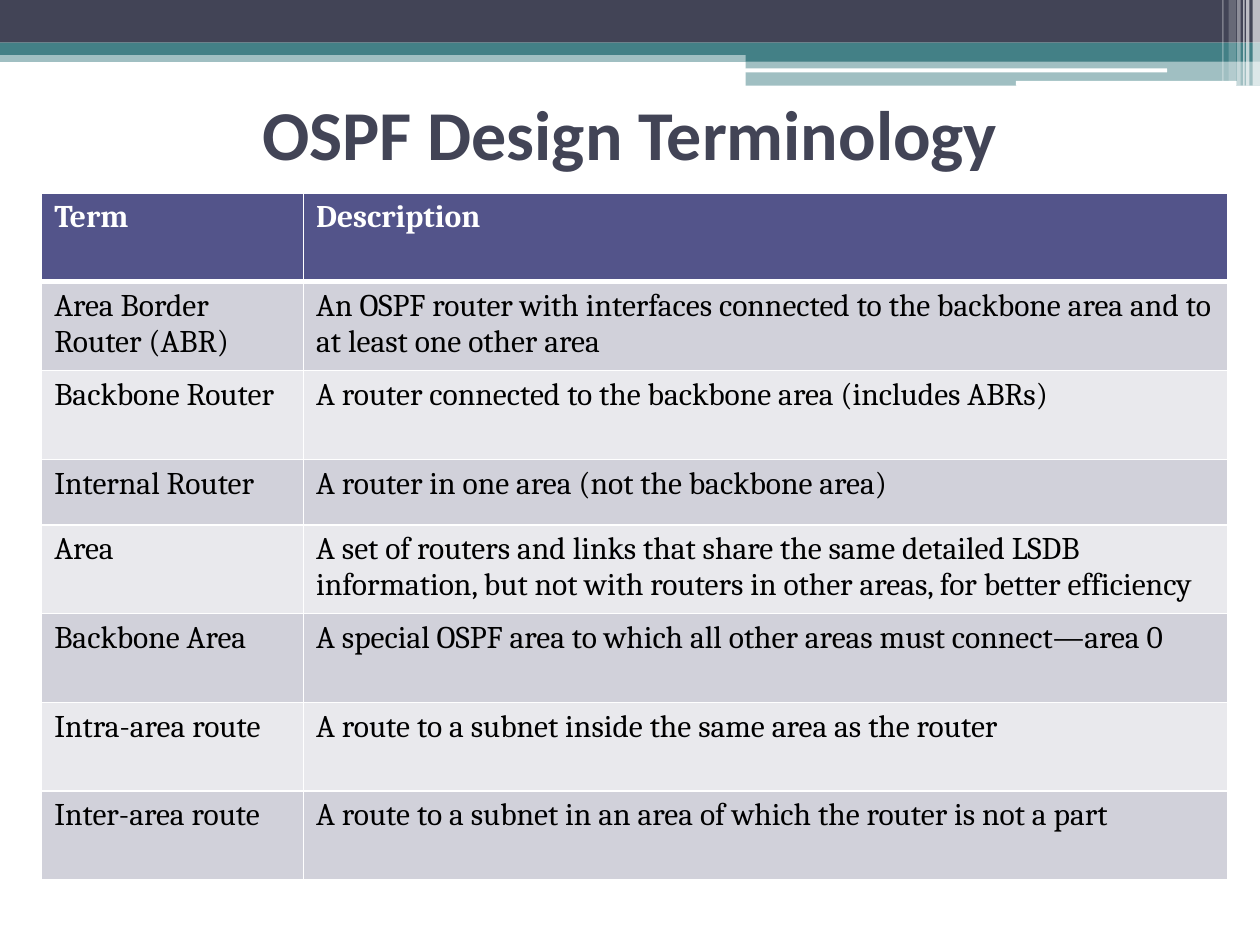
from lxml import etree
from pptx import Presentation
from pptx.dml.color import RGBColor
from pptx.enum.shapes import MSO_SHAPE
from pptx.enum.text import MSO_ANCHOR, PP_ALIGN
from pptx.oxml.ns import qn
from pptx.util import Cm, Pt

RECTANGLE = MSO_SHAPE.RECTANGLE
ROUNDED = MSO_SHAPE.ROUNDED_RECTANGLE
MIDDLE = MSO_ANCHOR.MIDDLE
CENTER = PP_ALIGN.CENTER

WHITE, BLACK, NAVY, TEAL = "FFFFFF", "000000", "424456", "438086"
HEADER_FILL = "53548A"
BAND_FILLS = ("D1D1DA", "E9E9ED")

TITLE = "OSPF Design Terminology"
TERMS = [
    ("Term", "Description"),
    ("Area Border Router (ABR)",
     "An OSPF router with interfaces connected to the backbone area and to at least one other area"),
    ("Backbone Router", "A router connected to the backbone area (includes ABRs)"),
    ("Internal Router", "A router in one area (not the backbone area)"),
    ("Area",
     "A set of routers and links that share the same detailed LSDB\n"
     "information, but not with routers in other areas, for better efficiency"),
    ("Backbone Area", "A special OSPF area to which all other areas must connect—area 0"),
    ("Intra-area route", "A route to a subnet inside the same area as the router"),
    ("Inter-area route", "A route to a subnet in an area of which the router is not a part"),
]
COLUMN_WIDTHS = (5.28, 18.62)
ROW_HEIGHTS = [1.79, 1.79, 1.79, 1.32, 1.79, 1.79, 1.79, 1.79]

BANDS = [
    (RECTANGLE, 0, 1.02, 25.4, 0.23, TEAL, 50),
    (RECTANGLE, 0, 0, 25.4, 0.86, NAVY, 100),
    (RECTANGLE, 0, 0.86, 25.4, 0.25, TEAL, 100),
    (RECTANGLE, 15.03, 0.99, 10.37, 0.25, TEAL, 100),
    (RECTANGLE, 15.03, 1.23, 10.37, 0.5, TEAL, 50),
    (ROUNDED, 15.02, 1.38, 8.51, 0.08, WHITE, 100),
    (ROUNDED, 20.48, 1.63, 4.45, 0.1, WHITE, 100),
]
STRIPES = [
    (25.25, 0.15, 1.73, 65),
    (25.12, 0.07, 1.73, 65),
    (25.06, 0.03, 1.73, 60),
    (24.94, 0.07, 1.73, 40),
    (24.77, 0.15, 1.63, 20),
    (24.64, 0.03, 1.63, 30),
]


def color(value):
    """Turn a hex string into a colour."""
    return RGBColor.from_string(value)


def format_text(text_frame, font_name, size, font_color, bold):
    """Format every run of a text frame."""
    for paragraph in text_frame.paragraphs:
        for run in paragraph.runs:
            run.font.name = font_name
            run.font.size = Pt(size)
            run.font.bold = bold
            run.font.color.rgb = color(font_color)


def add_band(slide, kind, left, top, width, height, fill, opacity):
    """Add one borderless band, see-through when opacity is below 100."""
    shape = slide.shapes.add_shape(kind, Cm(left), Cm(top), Cm(width), Cm(height))
    shape.shadow.inherit = False
    shape.line.fill.background()
    shape.fill.solid()
    shape.fill.fore_color.rgb = color(fill)
    if opacity < 100:
        hex_color = shape.fill._xPr.find(qn("a:solidFill"))[0]
        etree.SubElement(hex_color, qn("a:alpha"), val=str(opacity * 1000))


def set_borders(cell, widths):
    """Draw white left, right, top and bottom borders of the given widths."""
    properties = cell._tc.get_or_add_tcPr()
    for index, (side, width) in enumerate(zip("LRTB", widths)):
        line = etree.Element(qn(f"a:ln{side}"), w=str(Pt(width)))
        fill = etree.SubElement(line, qn("a:solidFill"))
        etree.SubElement(fill, qn("a:srgbClr"), val=WHITE)
        properties.insert(index, line)


def add_title(slide):
    """Add the centred slide title."""
    title = slide.shapes.add_textbox(Cm(1.27), Cm(1.68), Cm(22.86), Cm(1.98))
    text_frame = title.text_frame
    text_frame.word_wrap = True
    text_frame.vertical_anchor = MIDDLE
    text_frame.text = TITLE
    text_frame.paragraphs[0].alignment = CENTER
    format_text(text_frame, "Calibri", 40, NAVY, True)


def add_terms_table(slide):
    """Add the table of terms with a dark header and banded rows."""
    table = slide.shapes.add_table(
        len(TERMS), len(COLUMN_WIDTHS), Cm(0.84), Cm(3.89),
        Cm(sum(COLUMN_WIDTHS)), Cm(sum(ROW_HEIGHTS))).table
    for column, width in zip(table.columns, COLUMN_WIDTHS):
        column.width = Cm(width)
    for row_index, (texts, height) in enumerate(zip(TERMS, ROW_HEIGHTS)):
        table.rows[row_index].height = Cm(height)
        header = row_index == 0
        fill = HEADER_FILL if header else BAND_FILLS[(row_index - 1) % 2]
        top = 3 if row_index == 1 else 1
        bottom = 3 if header else 1
        for column_index, text in enumerate(texts):
            cell = table.cell(row_index, column_index)
            cell.text_frame.text = text
            format_text(cell.text_frame, "Cambria", 18, WHITE if header else BLACK, header)
            cell.fill.solid()
            cell.fill.fore_color.rgb = color(fill)
            set_borders(cell, (1, 1, top, bottom))


def main():
    """Build the slide and save it."""
    presentation = Presentation()
    presentation.slide_width, presentation.slide_height = Cm(25.4), Cm(19.05)
    slide = presentation.slides.add_slide(presentation.slide_layouts[6])
    for band in BANDS:
        add_band(slide, *band)
    for left, width, height, opacity in STRIPES:
        add_band(slide, RECTANGLE, left, 0, width, height, WHITE, opacity)
    add_title(slide)
    add_terms_table(slide)
    presentation.save("out.pptx")


if __name__ == "__main__":
    main()
